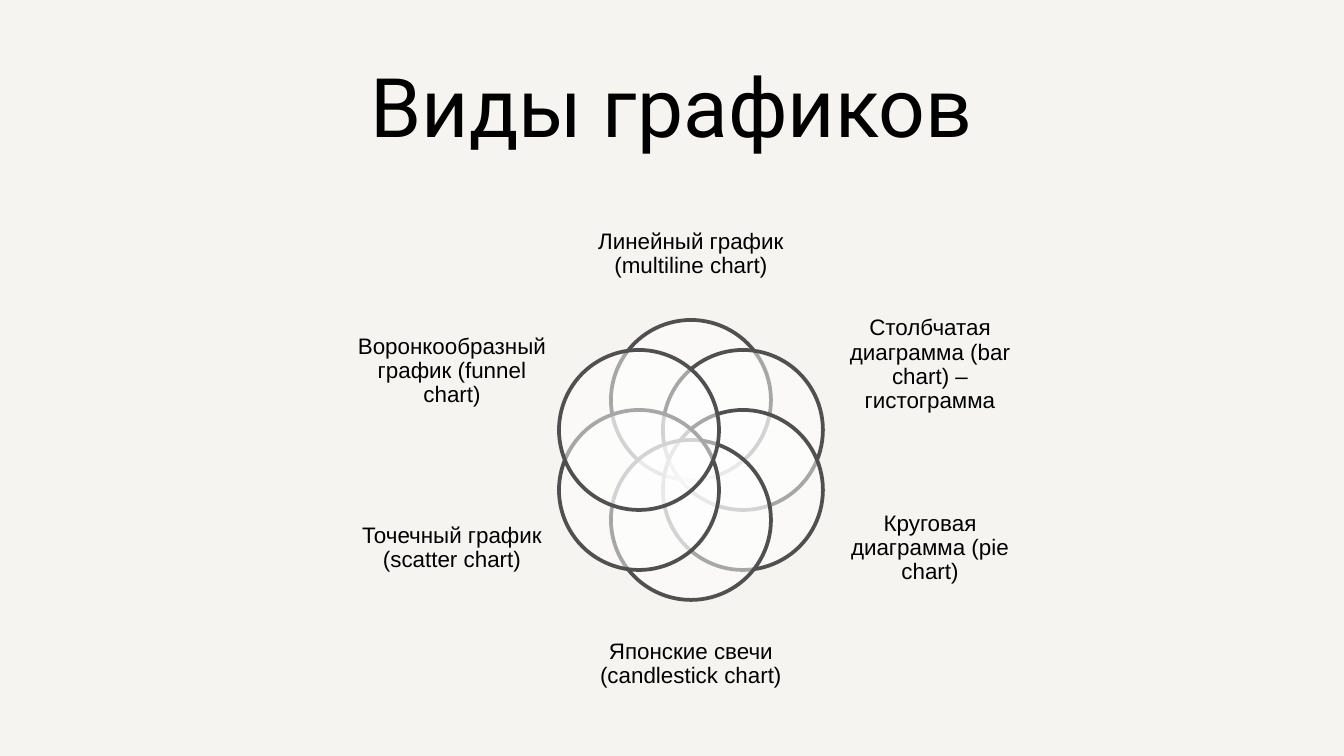
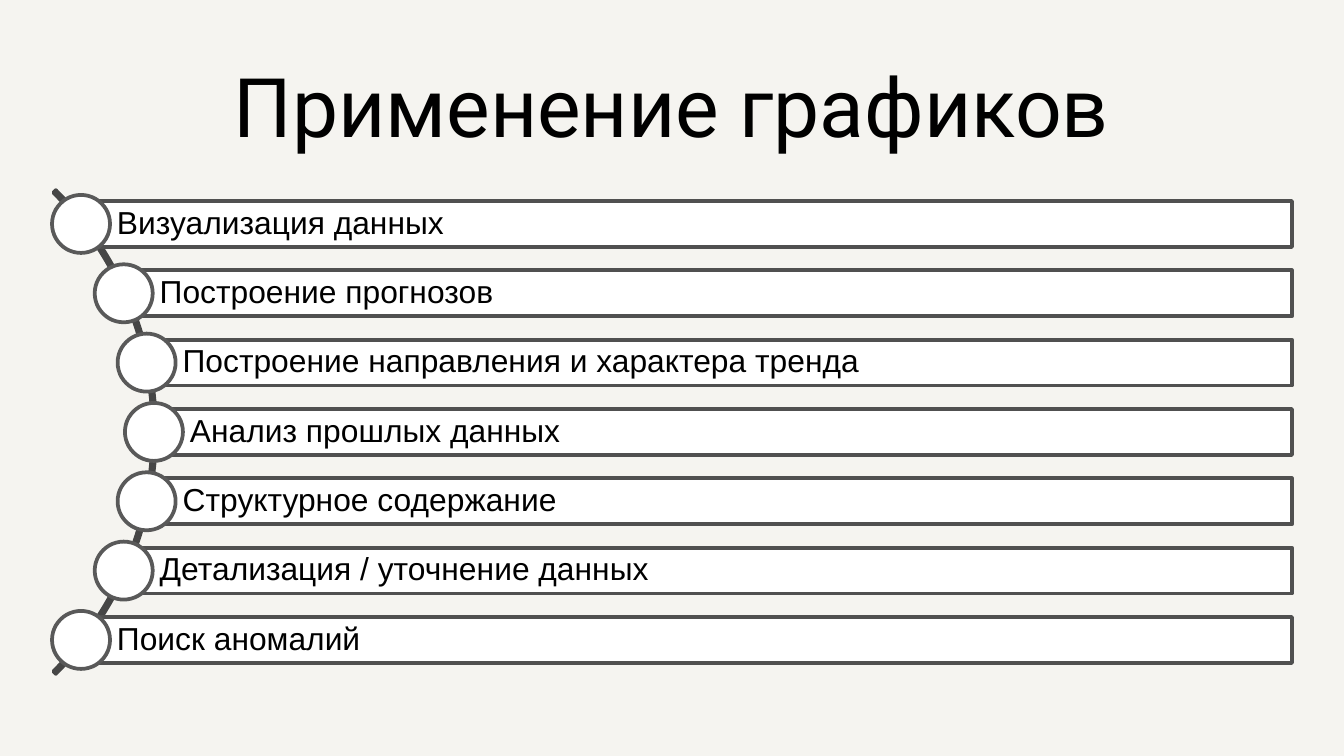
from math import cos, radians, sin, sqrt

from lxml import etree
from pptx import Presentation
from pptx.dml.color import RGBColor
from pptx.enum.shapes import MSO_SHAPE
from pptx.enum.text import MSO_ANCHOR, PP_ALIGN
from pptx.oxml.ns import qn
from pptx.util import Emu, Pt

SCALE = 914400 / 134.4
WIDTH, HEIGHT = 1344, 756

COLORS = {
    "background": "F5F4F0",
    "text": "000000",
    "white": "FFFFFF",
    "outline": "505050",
    "arc": "464646",
    "bullet": "595959",
}
TITLE_FONT, BODY_FONT = "Roboto", "Arial"

KINDS_TITLE = "Виды графиков"
# Clockwise from the top: label, then left, top, width, height of its box
CHART_KINDS = [
    ("Линейный график (multiline chart)", (591, 200, 200, 109)),
    ("Столбчатая диаграмма (bar chart) – гистограмма", (835, 305, 190, 120)),
    ("Круговая диаграмма (pie chart)", (835, 482, 190, 133)),
    ("Японские свечи (candlestick chart)", (591, 610, 200, 109)),
    ("Точечный график (scatter chart)", (357, 482, 190, 133)),
    ("Воронкообразный график (funnel chart)", (357, 305, 190, 133)),
]
FLOWER_CENTER = (691, 460)
FLOWER_RADIUS = 60
PETAL_SIZE = 160

USES_TITLE = "Применение графиков"
CHART_USES = [
    "Визуализация данных",
    "Построение прогнозов",
    "Построение направления и характера тренда",
    "Анализ прошлых данных",
    "Структурное содержание",
    "Детализация / уточнение данных",
    "Поиск аномалий",
]
FIRST_ROW, LAST_ROW = 224, 640
BAR_RIGHT, BAR_HEIGHT = 1292, 46
BULLET_SIZE = 58
CURVE_X, CURVE_RADIUS = -179, 333
ARC_BOX = (-528, 90, 684, 684)
ARC_ADJUSTMENTS = (189, 27, 0.005)


def px(value):
    return Emu(round(value * SCALE))


def color(name):
    return RGBColor.from_string(COLORS[name])


def write(shape, text, size, font=BODY_FONT, align=PP_ALIGN.CENTER,
          anchor=MSO_ANCHOR.MIDDLE, insets=(0, 0, 0, 0), spacing=0.9):
    """Fill a shape with one paragraph; insets are left, top, right, bottom."""
    frame = shape.text_frame
    frame.word_wrap = True
    frame.vertical_anchor = anchor
    (frame.margin_left, frame.margin_top,
     frame.margin_right, frame.margin_bottom) = map(px, insets)
    paragraph = frame.paragraphs[0]
    paragraph.alignment = align
    paragraph.line_spacing = spacing
    run = paragraph.add_run()
    run.text = text
    run.font.size = Pt(size)
    run.font.name = font
    run.font.color.rgb = color("text")


def add_text(slide, box, text, size, **style):
    write(slide.shapes.add_textbox(*map(px, box)), text, size, **style)


def add_outlined(slide, preset, box, line, fill="white", opacity=100):
    shape = slide.shapes.add_shape(preset, *map(px, box))
    shape.shadow.inherit = False
    if fill:
        shape.fill.solid()
        shape.fill.fore_color.rgb = color(fill)
    else:
        shape.fill.background()
    if opacity < 100:
        fill_color = shape.fill._xPr.find(qn("a:solidFill"))[0]
        etree.SubElement(fill_color, qn("a:alpha"), val=str(opacity * 1000))
    shape.line.color.rgb = color(line)
    shape.line.width = Pt(2)
    return shape


def add_circle(slide, x, y, size, line, **style):
    """Add a circle centred on x, y."""
    box = (x - size / 2, y - size / 2, size, size)
    add_outlined(slide, MSO_SHAPE.OVAL, box, line, **style)


def add_titled_slide(presentation, title):
    slide = presentation.slides.add_slide(presentation.slide_layouts[6])
    slide.background.fill.solid()
    slide.background.fill.fore_color.rgb = color("background")
    add_text(slide, (46, 36, 1252, 131), title, 44, font=TITLE_FONT,
             anchor=MSO_ANCHOR.BOTTOM, insets=(13, 13, 13, 13), spacing=1.0)
    return slide


def build_kinds(presentation):
    slide = add_titled_slide(presentation, KINDS_TITLE)
    center_x, center_y = FLOWER_CENTER
    for index, (label, box) in enumerate(CHART_KINDS):
        angle = radians(index * 360 / len(CHART_KINDS))
        add_circle(slide, center_x + FLOWER_RADIUS * sin(angle),
                   center_y - FLOWER_RADIUS * cos(angle),
                   PETAL_SIZE, "outline", opacity=50)
        add_text(slide, box, label, 12)


def build_uses(presentation):
    slide = add_titled_slide(presentation, USES_TITLE)
    arc = add_outlined(slide, MSO_SHAPE.BLOCK_ARC, ARC_BOX, "arc", fill=None)
    for index, value in enumerate(ARC_ADJUSTMENTS):
        arc.adjustments[index] = value

    pitch = (LAST_ROW - FIRST_ROW) / (len(CHART_USES) - 1)
    middle = (FIRST_ROW + LAST_ROW) / 2
    for index, use in enumerate(CHART_USES):
        y = FIRST_ROW + index * pitch
        x = CURVE_X + sqrt(CURVE_RADIUS ** 2 - (y - middle) ** 2)
        bar_box = (x, y - BAR_HEIGHT / 2, BAR_RIGHT - x, BAR_HEIGHT)
        bar = add_outlined(slide, MSO_SHAPE.RECTANGLE, bar_box, "outline")
        write(bar, use, 17, align=PP_ALIGN.LEFT, insets=(36, 6, 6, 6))
        add_circle(slide, x, y, BULLET_SIZE, "bullet")


def main():
    presentation = Presentation()
    presentation.slide_width = px(WIDTH)
    presentation.slide_height = px(HEIGHT)
    build_kinds(presentation)
    build_uses(presentation)
    presentation.save("out.pptx")


if __name__ == "__main__":
    main()
